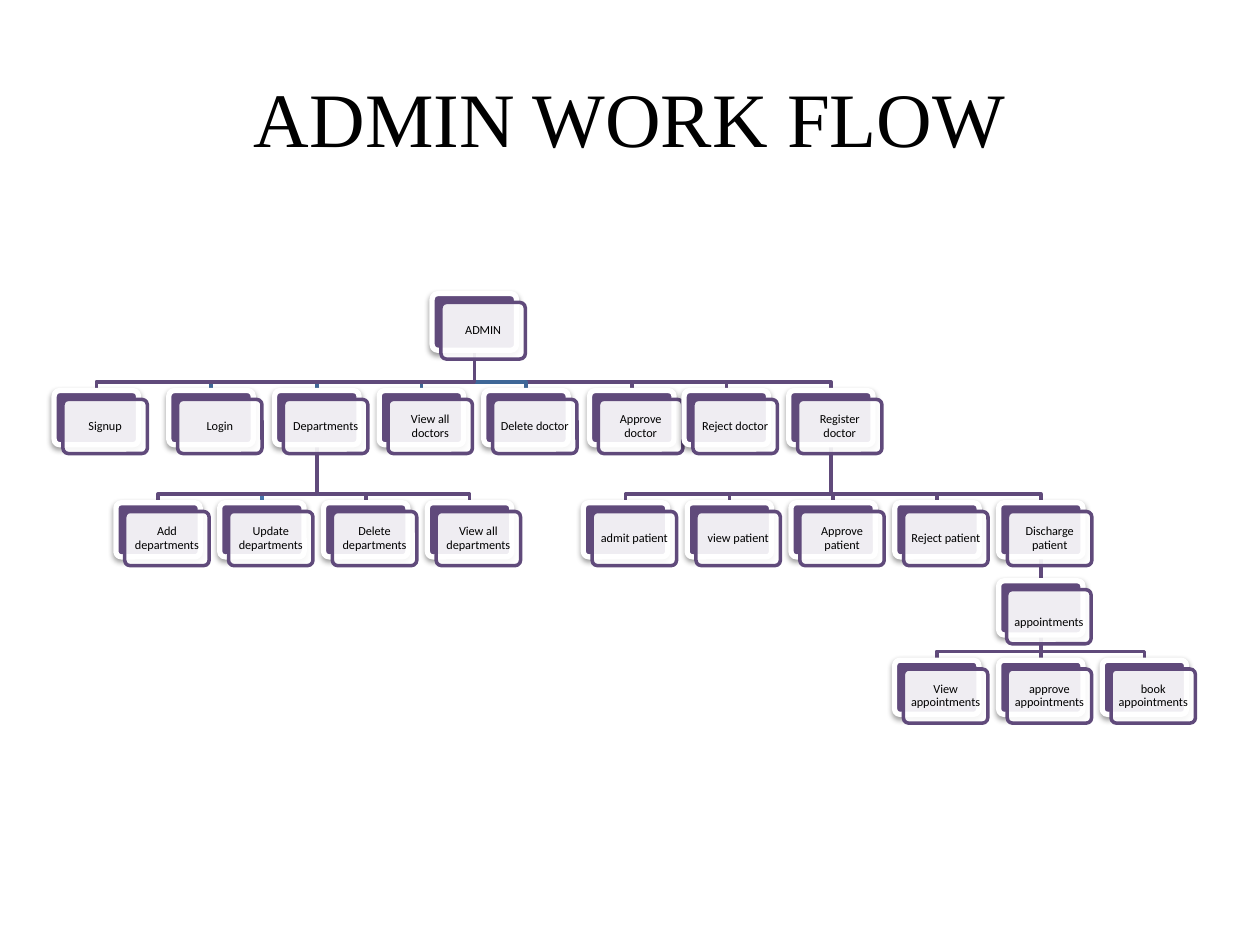
from lxml import etree
from pptx import Presentation
from pptx.dml.color import RGBColor
from pptx.enum.shapes import MSO_CONNECTOR as CONN, MSO_SHAPE as SHAPE
from pptx.enum.text import MSO_ANCHOR as ANCHOR, PP_ALIGN as ALIGN
from pptx.oxml.ns import qn
from pptx.util import Inches, Pt

BLACK = RGBColor(0x00, 0x00, 0x00)
WHITE = RGBColor(0xFF, 0xFF, 0xFF)
PURPLE = RGBColor(0x60, 0x4A, 0x7B)
BLUE = RGBColor(0x3F, 0x67, 0x97)
LIGHT_BLUE = RGBColor(0x48, 0x75, 0xAC)

BOX_W, BOX_H, ROOT_H = 0.67, 0.43, 0.45
OFFSET = 0.07   # front card against back card; also bus above child
PITCH = 0.824   # between siblings on the lower levels


class Chart:
    """Draws an organisation chart of double cards on one slide."""

    def __init__(self, prs):
        self.slide = prs.slides.add_slide(prs.slide_layouts[5])
        self.shapes = self.slide.shapes

    def title(self, text):
        sp = self.shapes.title
        sp.left, sp.top = Inches(0.5), Inches(0.3)
        sp.width, sp.height = Inches(9), Inches(1.25)
        tf = sp.text_frame
        tf.vertical_anchor = ANCHOR.MIDDLE
        p = tf.paragraphs[0]
        p.text, p.alignment = text, ALIGN.CENTER
        p.font.name, p.font.size = "Times New Roman", Pt(44)
        p.font.color.rgb = BLACK

    def card(self, x, y, h, fill, line, line_width):
        sp = self.shapes.add_shape(SHAPE.ROUNDED_RECTANGLE, Inches(x), Inches(y),
                                   Inches(BOX_W), Inches(h))
        sp.adjustments[0] = 0.1
        sp.shadow.inherit = False
        sp.fill.solid()
        sp.fill.fore_color.rgb = fill
        sp.line.color.rgb, sp.line.width = line, Pt(line_width)
        return sp

    def cast_shadow(self, sp):
        effects = sp._element.spPr.find(qn("a:effectLst"))
        shadow = etree.SubElement(effects, qn("a:outerShdw"), blurRad="40000",
                                  dist="20000", dir="5400000", rotWithShape="0")
        color = etree.SubElement(shadow, qn("a:srgbClr"), val="000000")
        etree.SubElement(color, qn("a:alpha"), val="38000")

    def box(self, text, x, y, h=BOX_H, top_inset=0.03):
        back = self.card(x, y, h, PURPLE, WHITE, 3)
        self.cast_shadow(back)
        front = self.card(x + OFFSET, y + OFFSET, h, WHITE, PURPLE, 2)
        color = front._element.spPr.find(qn("a:solidFill"))[0]
        etree.SubElement(color, qn("a:alpha"), val="90000")

        tf = front.text_frame
        tf.word_wrap, tf.vertical_anchor = True, ANCHOR.MIDDLE
        tf.margin_left = tf.margin_right = tf.margin_bottom = Inches(0.03)
        tf.margin_top = Inches(top_inset)
        p = tf.paragraphs[0]
        p.text, p.alignment, p.line_spacing = text, ALIGN.CENTER, 0.9
        p.font.name, p.font.size = "Calibri", Pt(7)
        p.font.color.rgb = BLACK
        return back

    def row(self, labels, lefts, y):
        return [self.box(text, x, y) for text, x in zip(labels, lefts)]

    def link(self, parent, child, color=PURPLE):
        x1, y1 = parent.left + parent.width // 2, parent.top + parent.height
        x2, y2 = child.left + child.width // 2, child.top
        if x1 == x2:
            line = self.shapes.add_connector(CONN.STRAIGHT, x1, y1, x2, y2)
            line.begin_connect(parent, 2)
            line.end_connect(child, 0)
            etree.SubElement(line._element.spPr, qn("a:effectLst"))
        else:
            bus = y2 - Inches(OFFSET)
            path = self.shapes.build_freeform(x1, y1)
            path.add_line_segments([(x1, bus), (x2, bus), (x2, y2)], close=False)
            line = path.convert_to_shape()
            line.fill.background()
            line.shadow.inherit = False
        line.line.color.rgb, line.line.width = color, Pt(2)
        self.shapes._spTree.insert(2, line._element)  # behind every card

    def links(self, parent, children, colors=None):
        colors = colors or {}
        for i, child in enumerate(children):
            self.link(parent, child, colors.get(i, PURPLE))


def lefts(start, count):
    return [start + i * PITCH for i in range(count)]


def main():
    prs = Presentation()
    prs.slide_width, prs.slide_height = Inches(10), Inches(7.5)
    chart = Chart(prs)
    chart.title("ADMIN WORK FLOW")

    # Cards, level by level
    admin = chart.box("ADMIN", 3.43, 2.33, ROOT_H)
    actions = chart.row(
        ["Signup", "Login", "Departments", "View all doctors", "Delete doctor",
         "Approve doctor", "Reject doctor", "Register doctor"],
        [0.43, 1.34, 2.18, 3.01, 3.84, 4.68, 5.43, 6.26], 3.1)
    departments = chart.row(
        ["Add departments", "Update departments", "Delete departments",
         "View all departments"], lefts(0.92, 4), 3.99)
    patients = chart.row(
        ["admit patient", "view patient", "Approve patient", "Reject patient",
         "Discharge patient"], lefts(4.63, 5), 3.99)
    visit_x = lefts(7.1, 3)
    appointments = chart.box("appointments", 7.92, 4.61, top_inset=0.13)
    appointments.left = patients[-1].left
    visits = chart.row(
        ["View appointments", "approve appointments", "book appointments"],
        visit_x, 5.24)
    visits[1].left = appointments.left

    # Links; the first child of each parent lies on top
    chart.links(admin, actions, {i: BLUE for i in range(1, 5)})
    chart.links(actions[2], departments, {1: LIGHT_BLUE})
    chart.links(actions[7], patients)
    chart.links(patients[-1], [appointments])
    chart.links(appointments, visits)

    prs.save("out.pptx")


if __name__ == "__main__":
    main()
